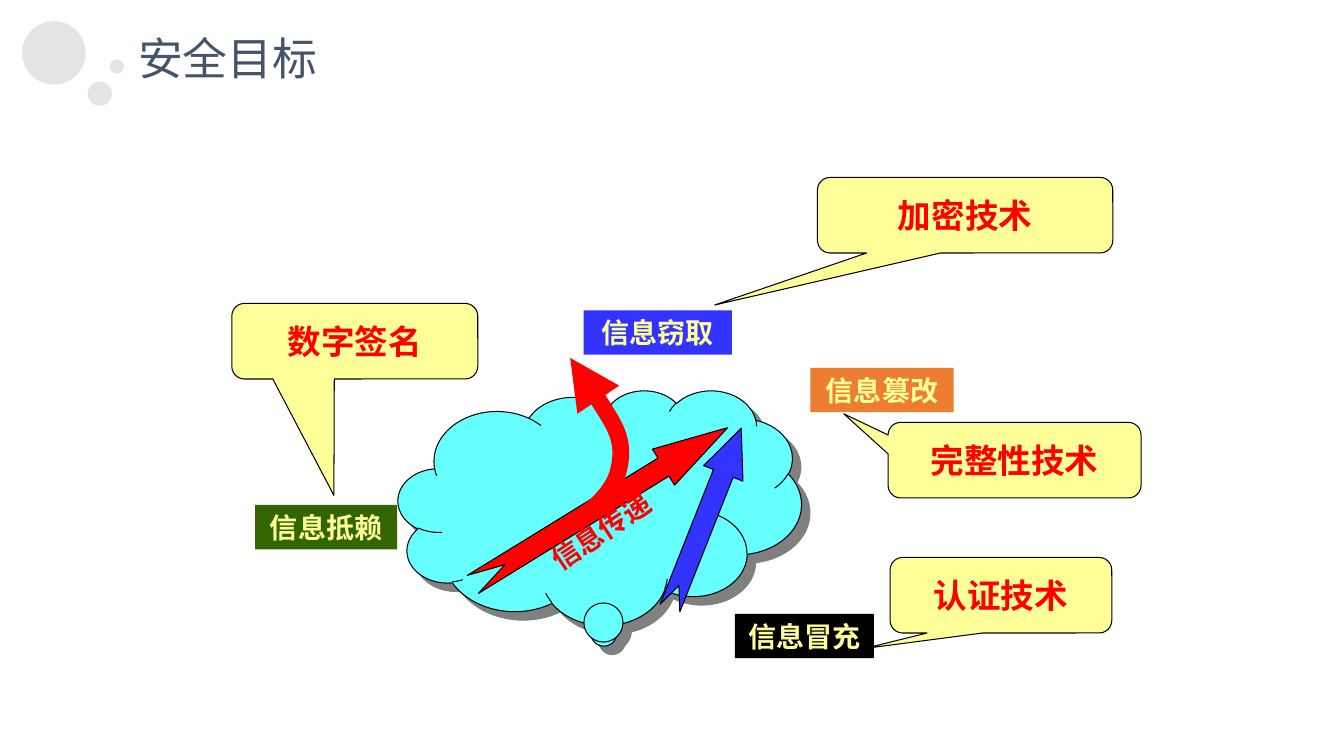
from lxml import etree
from pptx import Presentation, util as u
from pptx.dml.color import RGBColor
from pptx.enum import shapes, text
from pptx.oxml.ns import qn

FONT = "Noto Sans CJK SC"
CELL = u.Inches(0.1)  # side of one grid cell; all boxes are in cells
COLS, ROWS = 133.33, 75

BLACK = RGBColor(0, 0, 0)
RED = RGBColor(0xFF, 0, 0)
BLUE = RGBColor(0x33, 0x33, 0xFF)
GREEN = RGBColor(0x33, 0x66, 0)
ORANGE = RGBColor(0xED, 0x7D, 0x31)
YELLOW = RGBColor(0xFF, 0xFF, 0x99)
CYAN = RGBColor(0x66, 0xFF, 0xFF)
GREY = RGBColor(0xD9, 0xD9, 0xD9)
SHADOW = RGBColor(0x80, 0x80, 0x80)
SLATE = RGBColor(0x44, 0x54, 0x6A)

SHAPE = shapes.MSO_SHAPE


def cells(*lengths):
    return [round(length * CELL) for length in lengths]


def within(region, box):
    """Shift a box given relative to a region onto the slide."""
    left, top, width, height = box
    return cells(region[0] + left, region[1] + top, width, height)


def add_preset(slide, region, kind, box, fill, outlined=True, adjustments=(), rotation=0):
    part = slide.shapes.add_shape(kind, *within(region, box))
    part.shadow.inherit = False
    part.fill.solid()
    part.fill.fore_color.rgb = fill
    if outlined:
        part.line.color.rgb = BLACK
        part.line.width = u.Pt(0.75)
    else:
        part.line.fill.background()
    for index, value in enumerate(adjustments):
        part.adjustments[index] = value
    part.rotation = rotation
    return part


def write(part, words, size, color, bold=True, wrap=True, grow=True,
          anchor=text.MSO_ANCHOR.MIDDLE):
    frame = part.text_frame
    frame.word_wrap = wrap
    frame.auto_size = text.MSO_AUTO_SIZE.SHAPE_TO_FIT_TEXT if grow else text.MSO_AUTO_SIZE.NONE
    frame.vertical_anchor = anchor
    paragraph = frame.paragraphs[0]
    paragraph.text = words
    paragraph.alignment = text.PP_ALIGN.CENTER
    font = paragraph.font
    font.name, font.size, font.bold = FONT, u.Pt(size), bold
    font.color.rgb = color
    latin = paragraph._p.find(".//" + qn("a:latin"))
    east_asian = etree.Element(qn("a:ea"), typeface=FONT)
    latin.addnext(east_asian)


def add_header(slide, region):
    for left, top, diameter in ((2.2, 2.1, 6.3), (8.7, 8.1, 2.4), (10.9, 5.9, 1.4)):
        bubble = add_preset(slide, region, SHAPE.FLOWCHART_CONNECTOR,
                            (left, top, diameter, diameter), GREY, outlined=False)
        color = bubble._element.spPr.find(".//" + qn("a:srgbClr"))
        etree.SubElement(color, qn("a:alpha"), val="70000")
    title = slide.shapes.add_textbox(*within(region, (12.6, 2.6, 20, 6.4)))
    write(title, "安全目标", 32, SLATE, bold=False, wrap=False, anchor=text.MSO_ANCHOR.TOP)


def add_cloud(slide, region):
    cloud = add_preset(slide, region, SHAPE.CLOUD_CALLOUT, (16.5, 21.1, 40, 23.3), CYAN,
                       adjustments=(0.01, 0.525))
    effects = cloud._element.spPr.find(qn("a:effectLst"))
    drop = etree.SubElement(effects, qn("a:outerShdw"), blurRad="0", dist=str(u.Pt(8.5)),
                            dir=str(45 * 60000), algn="ctr", rotWithShape="0")
    etree.SubElement(drop, qn("a:srgbClr"), val=str(SHADOW))


def add_theft_arrow(slide, region):
    """Thick curved arrow that branches off the message: two Bezier pieces."""
    left, top = region[0] + 27.4, region[1] + 19.2
    bends = [(5, 20.8), (7.9, 15.9), (10.8, 10.9), (10, 7.5), (9.1, 4), (4.6, 2), (0, 0)]
    start, *rest = [cells(left + x, top + y) for x, y in bends]
    builder = slide.shapes.build_freeform(*start)
    builder.add_line_segments(rest, close=False)
    branch = builder.convert_to_shape()
    branch.shadow.inherit = False
    branch.fill.background()
    branch.line.color.rgb = RED
    branch.line.width = u.Pt(12)
    branch.rotation = 31.2
    etree.SubElement(branch.line._get_or_add_ln(), qn("a:tailEnd"), type="triangle")

    outline = branch._element.spPr.find(".//" + qn("a:path"))
    segments = outline.findall(qn("a:lnTo"))
    for first in range(0, len(segments), 3):
        curve = etree.SubElement(outline, qn("a:cubicBezTo"))
        for segment in segments[first:first + 3]:
            curve.append(segment[0])
            outline.remove(segment)


def add_message_flow(slide, region):
    add_preset(slide, region, SHAPE.NOTCHED_RIGHT_ARROW, (21.7, 30.5, 29.7, 4.2), RED,
               adjustments=(0.5, 1.781), rotation=328.4)
    caption = slide.shapes.add_textbox(*within(region, (29.9, 32.9, 13.4, 4.4)))
    caption.rotation = 326.3
    write(caption, "信息传递", 20, RED)
    add_theft_arrow(slide, region)
    add_preset(slide, region, SHAPE.NOTCHED_RIGHT_ARROW, (37.4, 31.7, 19.2, 4.2), BLUE,
               adjustments=(0.5, 1.15), rotation=291.6)


def add_threats(slide, region):
    for words, left, top, width, fill in (
            ("信息窃取", 34.9, 13.2, 14.7, BLUE),
            ("信息冒充", 49.9, 43.3, 13.8, BLACK),
            ("信息篡改", 57.4, 18.9, 14.2, ORANGE),
            ("信息抵赖", 2.3, 32.5, 14.1, GREEN)):
        threat = add_preset(slide, region, SHAPE.RECTANGLE, (left, top, width, 4.4), fill,
                            outlined=False)
        write(threat, words, 20, YELLOW)


def add_remedies(slide, region):
    for words, left, top, width, pointer in (
            ("加密技术", 58.1, 0, 29.3, (-0.848, 1.188)),
            ("完整性技术", 65.1, 24.3, 25.1, (-0.675, -0.613)),
            ("认证技术", 65.3, 37.7, 22, (-0.613, 0.704)),
            ("数字签名", 0, 12.5, 24.4, (-0.085, 2.039))):
        remedy = add_preset(slide, region, SHAPE.ROUNDED_RECTANGULAR_CALLOUT,
                            (left, top, width, 7.5), YELLOW, adjustments=(*pointer, 0.167))
        write(remedy, words, 24, RED, wrap=False, grow=False)


def main():
    deck = Presentation()
    deck.slide_width, deck.slide_height = cells(COLS, ROWS)
    slide = deck.slides.add_slide(deck.slide_layouts[6])
    add_header(slide, (0, 0))
    scene = (23, 17.6)
    for add_part in (add_cloud, add_message_flow, add_threats, add_remedies):
        add_part(slide, scene)
    deck.save("out.pptx")


if __name__ == "__main__":
    main()
